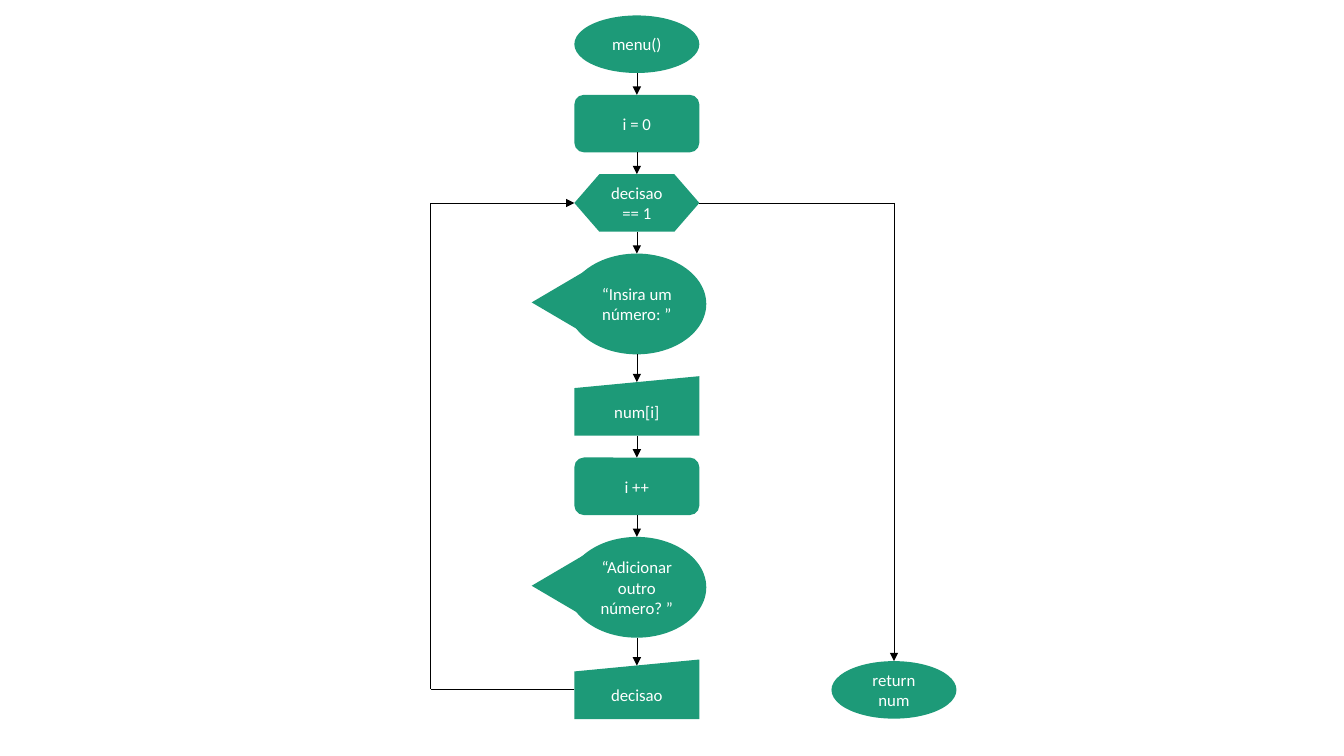
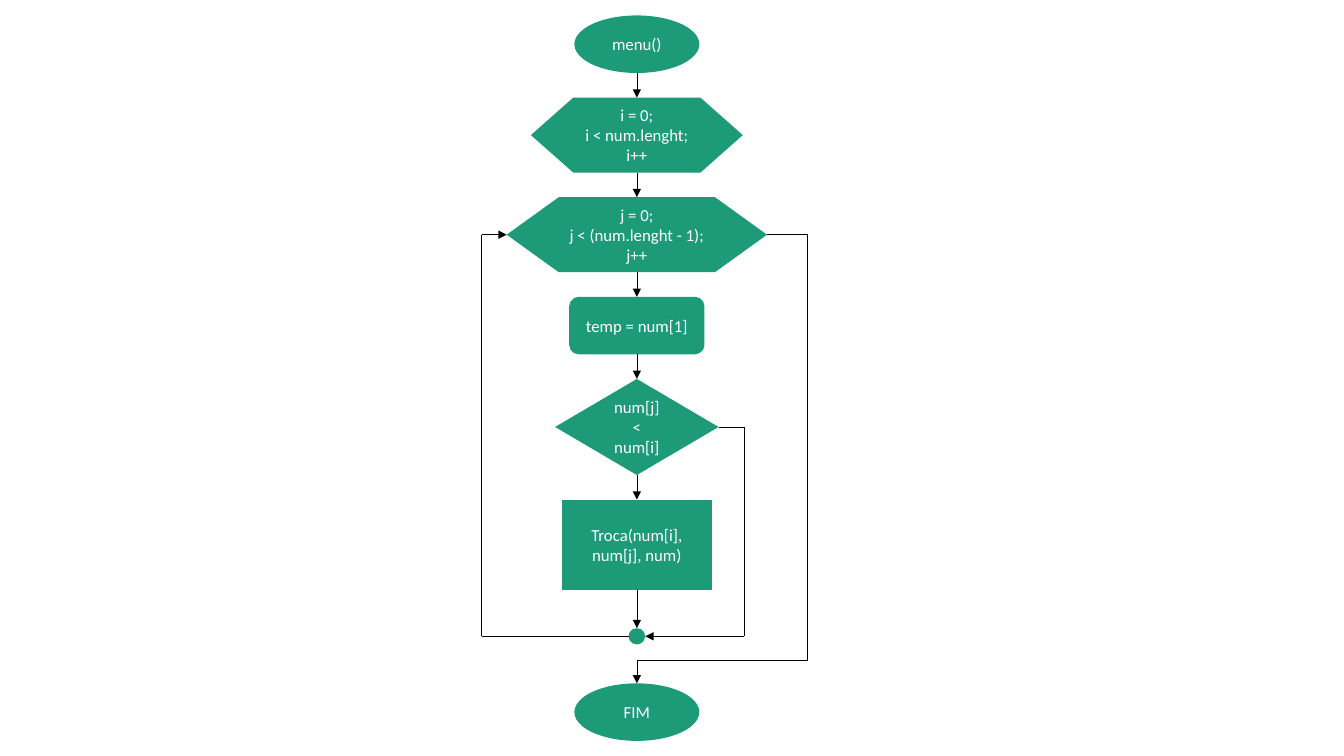
from lxml import etree
from pptx import Presentation
from pptx import util as u
from pptx.dml.color import RGBColor
from pptx.enum import shapes, text
from pptx.oxml.ns import qn

KIND = shapes.MSO_SHAPE
TOP, LEFT, BOTTOM, RIGHT = range(4)


def colour(value):
    return RGBColor.from_string(value)


class Flowchart:
    green, black, white = "1D9A78", "000000", "FFFFFF"
    font, size = "Calibri", 12
    axis, first_top = 16.05, 0.39
    node_width, node_height = 3.15, 1.45
    joints = {KIND.OVAL: (TOP,), KIND.FLOWCHART_MANUAL_INPUT: (BOTTOM,)}

    def __init__(self):
        self.deck = Presentation()
        self.deck.slide_width = u.Cm(33.87)
        self.deck.slide_height = u.Cm(19.05)

    def start(self, gap):
        self.slide = self.deck.slides.add_slide(self.deck.slide_layouts[6])
        self.gap = gap
        self.bottom = self.first_top - gap
        self.last = None

    def block(self, kind, centre, top, width, height, label=""):
        block = self.slide.shapes.add_shape(
            kind, u.Cm(centre - width / 2), u.Cm(top), u.Cm(width), u.Cm(height))
        block.shadow.inherit = False
        block.fill.solid()
        block.fill.fore_color.rgb = colour(self.green)
        block.line.fill.background()
        if label:
            frame = block.text_frame
            frame.text = label
            frame.word_wrap = True
            frame.vertical_anchor = text.MSO_ANCHOR.MIDDLE
            for paragraph in frame.paragraphs:
                paragraph.alignment = text.PP_ALIGN.CENTER
                paragraph.font.name = self.font
                paragraph.font.size = u.Pt(self.size)
                paragraph.font.color.rgb = colour(self.white)
        return block

    def step(self, kind, label="", width=node_width, height=node_height, gap=None):
        top = self.bottom + (self.gap if gap is None else gap)
        step = self.block(kind, self.axis, top, width, height, label)
        if self.last is not None:
            self.link(self.last, BOTTOM, step, TOP)
        self.last, self.bottom = step, top + height
        return step

    def message(self, label):
        width, height, tail_width, tail_height = 3.5, 2.54, 1.88, 1.6
        tail_top = self.bottom + self.gap + (height - tail_height) / 2 - 0.04
        tail = self.block(KIND.ISOSCELES_TRIANGLE, self.axis - 1.85, tail_top,
                          tail_width, tail_height)
        tail.rotation = 270
        return self.step(KIND.OVAL, label, width, height)

    def side(self, block, site):
        middle_x = block.left + block.width // 2
        middle_y = block.top + block.height // 2
        slope = 0
        if block.auto_shape_type == KIND.FLOWCHART_MANUAL_INPUT:
            slope = block.height // 10
        return {TOP: (middle_x, block.top + slope),
                LEFT: (block.left, middle_y),
                BOTTOM: (middle_x, block.top + block.height),
                RIGHT: (block.left + block.width, middle_y)}[site]

    def can_join(self, block, site):
        return site in self.joints.get(block.auto_shape_type, range(4))

    def link(self, source, source_site, target, target_site, *corners):
        points = [self.side(source, source_site), *corners,
                  self.side(target, target_site)]
        lines = [self.line(*pair) for pair in zip(points, points[1:])]
        if self.can_join(source, source_site):
            lines[0].begin_connect(source, source_site)
        if self.can_join(target, target_site):
            lines[-1].end_connect(target, target_site)
        outline = lines[-1].line._get_or_add_ln()
        etree.SubElement(outline, qn("a:tailEnd"), type="triangle")

    def line(self, begin, end):
        line = self.slide.shapes.add_connector(
            shapes.MSO_CONNECTOR.STRAIGHT, *begin, *end)
        line.line.color.rgb = colour(self.black)
        line.line.width = u.Pt(0.5)
        etree.SubElement(line._element.spPr, qn("a:effectLst"))
        return line

    def detour(self, source, source_site, target, target_site, lane):
        corners = [(u.Cm(lane), self.side(source, source_site)[1]),
                   (u.Cm(lane), self.side(target, target_site)[1])]
        self.link(source, source_site, target, target_site, *corners)


def build_input(chart):
    chart.start(gap=0.55)
    chart.step(KIND.OVAL, "menu()")
    chart.step(KIND.ROUNDED_RECTANGLE, "i = 0")
    check = chart.step(KIND.FLOWCHART_PREPARATION, "decisao == 1")
    chart.message("“Insira um número: ”")
    chart.step(KIND.FLOWCHART_MANUAL_INPUT, "num[i]", height=1.5)
    chart.step(KIND.ROUNDED_RECTANGLE, "i ++")
    chart.message("“Adicionar outro número? ”")
    decision = chart.step(KIND.FLOWCHART_MANUAL_INPUT, "decisao", height=1.5)
    result = chart.block(KIND.OVAL, 22.53, 16.66, chart.node_width,
                         chart.node_height, "return num")
    corner = chart.side(result, TOP)[0], chart.side(check, RIGHT)[1]
    chart.link(check, RIGHT, result, TOP, corner)
    chart.detour(decision, LEFT, check, LEFT, lane=10.85)


def build_sort(chart):
    chart.start(gap=0.62)
    chart.step(KIND.OVAL, "menu()")
    chart.step(KIND.FLOWCHART_PREPARATION, "i = 0;\ni < num.lenght;\ni++", 5.34, 1.89)
    inner_loop = chart.step(KIND.FLOWCHART_PREPARATION,
                            "j = 0;\nj < (num.lenght - 1);\nj++", 6.56, 1.89)
    chart.step(KIND.ROUNDED_RECTANGLE, "temp = num[1]", 3.41)
    comparison = chart.step(KIND.FLOWCHART_DECISION, "num[j]\n<\nnum[i]", 4.12, 2.42)
    chart.step(KIND.FLOWCHART_PREDEFINED_PROCESS, "Troca(num[i],\nnum[j], num)",
               3.78, 2.27)
    junction = chart.step(KIND.OVAL, width=0.42, height=0.41, gap=0.97)
    finish = chart.block(KIND.OVAL, chart.axis, 17.22, chart.node_width,
                         chart.node_height, "FIM")
    chart.detour(junction, LEFT, inner_loop, LEFT, lane=12.14)
    chart.detour(comparison, RIGHT, junction, RIGHT, lane=18.75)
    lane, shelf = u.Cm(20.35), u.Cm(16.64)
    chart.link(inner_loop, RIGHT, finish, TOP,
               (lane, chart.side(inner_loop, RIGHT)[1]), (lane, shelf),
               (chart.side(finish, TOP)[0], shelf))


def main():
    chart = Flowchart()
    build_input(chart)
    build_sort(chart)
    chart.deck.save("out.pptx")


if __name__ == "__main__":
    main()
